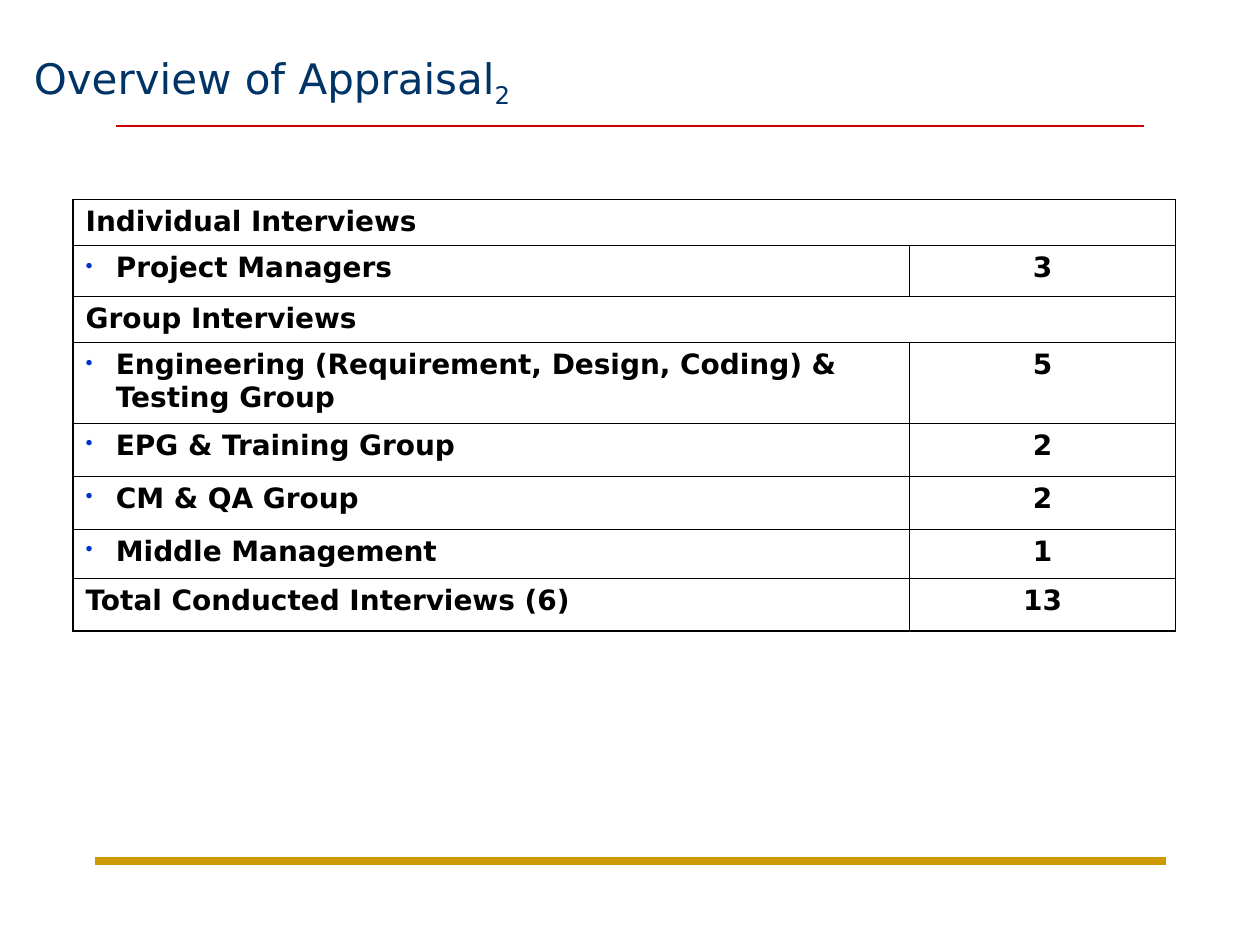
import dataclasses
from typing import Any, Optional

import pptx
import pptx.dml.color
import pptx.enum.shapes
import pptx.enum.text
import pptx.oxml
import pptx.oxml.ns
import pptx.util
from pptx.util import Inches

ALIGN = pptx.enum.text.PP_ALIGN
ANCHOR = pptx.enum.text.MSO_ANCHOR


@dataclasses.dataclass(frozen=True)
class Theme:
    font: str = "DejaVu Sans"
    title_color: str = "003366"
    text_color: str = "000000"
    bullet_color: str = "0033CC"
    top_rule: str = "CC0000"
    bottom_rule: str = "CC9900"
    title_size: float = 24
    table_size: float = 16
    outer_border: float = 1.08
    inner_border: float = 0.45


@dataclasses.dataclass(frozen=True)
class Rule:
    left: float
    right: float
    top: float
    color: str
    weight: float


@dataclasses.dataclass(frozen=True)
class InterviewRow:
    label: str
    count: Optional[str]
    height: float
    bullet: bool = False


THEME = Theme()
RULES = [
    Rule(0.92, 9.08, 1, THEME.top_rule, 1.5),
    Rule(0.75, 9.25, 6.83, THEME.bottom_rule, 4.5),
]
COLUMN_WIDTHS = (6.64, 2.11)
ROWS = [
    InterviewRow("Individual Interviews", None, 0.37),
    InterviewRow("Project Managers", "3", 0.4, True),
    InterviewRow("Group Interviews", None, 0.37),
    InterviewRow("Engineering (Requirement, Design, Coding) & Testing Group", "5", 0.64, True),
    InterviewRow("EPG & Training Group", "2", 0.42, True),
    InterviewRow("CM & QA Group", "2", 0.42, True),
    InterviewRow("Middle Management", "1", 0.39, True),
    InterviewRow("Total Conducted Interviews (6)", "13", 0.42),
]


def set_all(target: Any, values: dict[str, Any]) -> None:
    for name, value in values.items():
        setattr(target, name, value)


def rgb(color: str) -> pptx.dml.color.RGBColor:
    return pptx.dml.color.RGBColor.from_string(color)


def element(xml: str) -> Any:
    namespace = pptx.oxml.ns.nsdecls("a")
    return pptx.oxml.parse_xml(xml.replace("NS", namespace, 1))


def add_span(para: Any, text: str, size: float, color: str, bold: bool = False) -> Any:
    span = para.add_run()
    span.text = text
    set_all(span.font, {"name": THEME.font, "size": pptx.util.Pt(size), "bold": bold})
    span.font.color.rgb = rgb(color)
    return span


def draw_rule(page: Any, rule: Rule) -> None:
    line = page.shapes.add_connector(
        pptx.enum.shapes.MSO_CONNECTOR.STRAIGHT,
        Inches(rule.left), Inches(rule.top), Inches(rule.right), Inches(rule.top))
    line.line.color.rgb = rgb(rule.color)
    line.line.width = pptx.util.Pt(rule.weight)
    line._element.spPr.append(element("<a:effectLst NS/>"))


def draw_title(page: Any, text: str, subscript: str) -> None:
    box = page.shapes.add_textbox(Inches(0.17), Inches(0.36), Inches(8.93), Inches(0.56))
    set_all(box.text_frame, {
        "word_wrap": True,
        "vertical_anchor": ANCHOR.BOTTOM,
        "auto_size": pptx.enum.text.MSO_AUTO_SIZE.SHAPE_TO_FIT_TEXT,
    })
    para = box.text_frame.paragraphs[0]
    add_span(para, text, THEME.title_size, THEME.title_color)
    lowered = add_span(para, subscript, THEME.title_size, THEME.title_color)
    lowered.font._element.set("baseline", "-25000")


def add_bullet(para: Any) -> None:
    properties = para._p.get_or_add_pPr()
    indent = Inches(0.24)
    properties.set("marL", str(indent))
    properties.set("indent", str(-indent))
    for xml in (
        f'<a:buClr NS><a:srgbClr val="{THEME.bullet_color}"/></a:buClr>',
        '<a:buSzPct NS val="75000"/>',
        '<a:buChar NS char="•"/>',
    ):
        properties.append(element(xml))


def set_borders(cell: Any, weights: dict[str, float]) -> None:
    # Border lines come before the fill in the cell properties
    cell.fill.background()
    properties = cell._tc.get_or_add_tcPr()
    for place, (side, weight) in enumerate(weights.items()):
        properties.insert(place, element(
            f'<a:ln{side} NS w="{pptx.util.Pt(weight)}"><a:solidFill>'
            f'<a:srgbClr val="{THEME.text_color}"/></a:solidFill></a:ln{side}>'))


def fill_cell(cell: Any, text: str, align: Any, bullet: bool = False) -> None:
    para = cell.text_frame.paragraphs[0]
    set_all(para, {"alignment": align, "space_before": pptx.util.Pt(4)})
    add_span(para, text, THEME.table_size, THEME.text_color, bold=True)
    if bullet:
        add_bullet(para)


def draw_table(page: Any, rows: list[InterviewRow]) -> None:
    frame = page.shapes.add_table(
        len(rows), len(COLUMN_WIDTHS), Inches(0.58), Inches(1.58),
        Inches(sum(COLUMN_WIDTHS)), Inches(sum(row.height for row in rows)))
    table = frame.table
    set_all(table, {"first_row": False, "horz_banding": False})
    for column, width in zip(table.columns, COLUMN_WIDTHS):
        column.width = Inches(width)

    outer, inner = THEME.outer_border, THEME.inner_border
    for index, row in enumerate(rows):
        table.rows[index].height = Inches(row.height)
        label, count = table.cell(index, 0), table.cell(index, 1)
        heading = row.count is None
        bottom = outer if index == len(rows) - 1 else inner
        set_borders(label, {"L": outer, "R": outer if heading else inner, "T": inner, "B": bottom})
        set_borders(count, {"L": inner, "R": outer, "T": inner, "B": bottom})
        fill_cell(label, row.label, ALIGN.LEFT, row.bullet)
        if heading:
            label.merge(count)
        else:
            fill_cell(count, row.count, ALIGN.CENTER)


def main() -> None:
    deck = pptx.Presentation()
    set_all(deck, {"slide_width": Inches(10), "slide_height": Inches(7.5)})
    page = deck.slides.add_slide(deck.slide_layouts[6])
    # Rules above and below the content
    for rule in RULES:
        draw_rule(page, rule)
    # Title and interview counts
    draw_title(page, "Overview of Appraisal", "2")
    draw_table(page, ROWS)
    deck.save("out.pptx")


if __name__ == "__main__":
    main()
